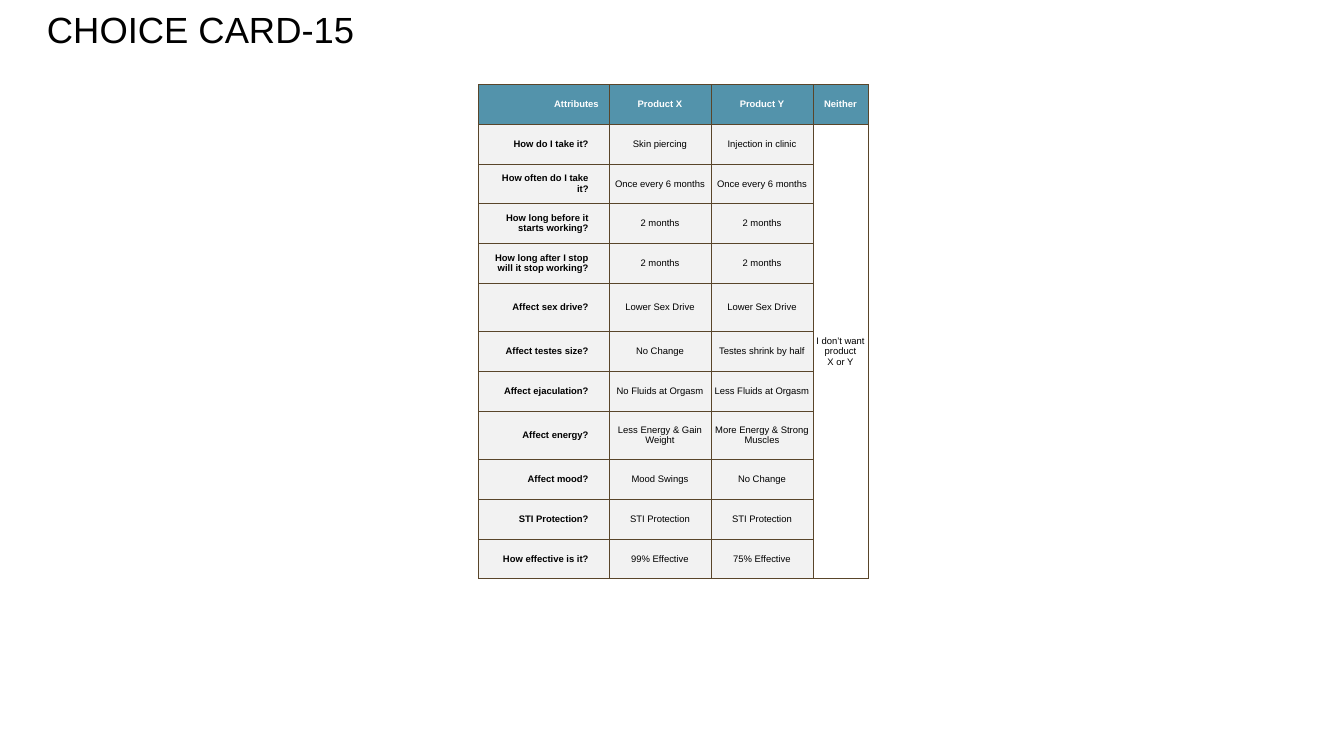
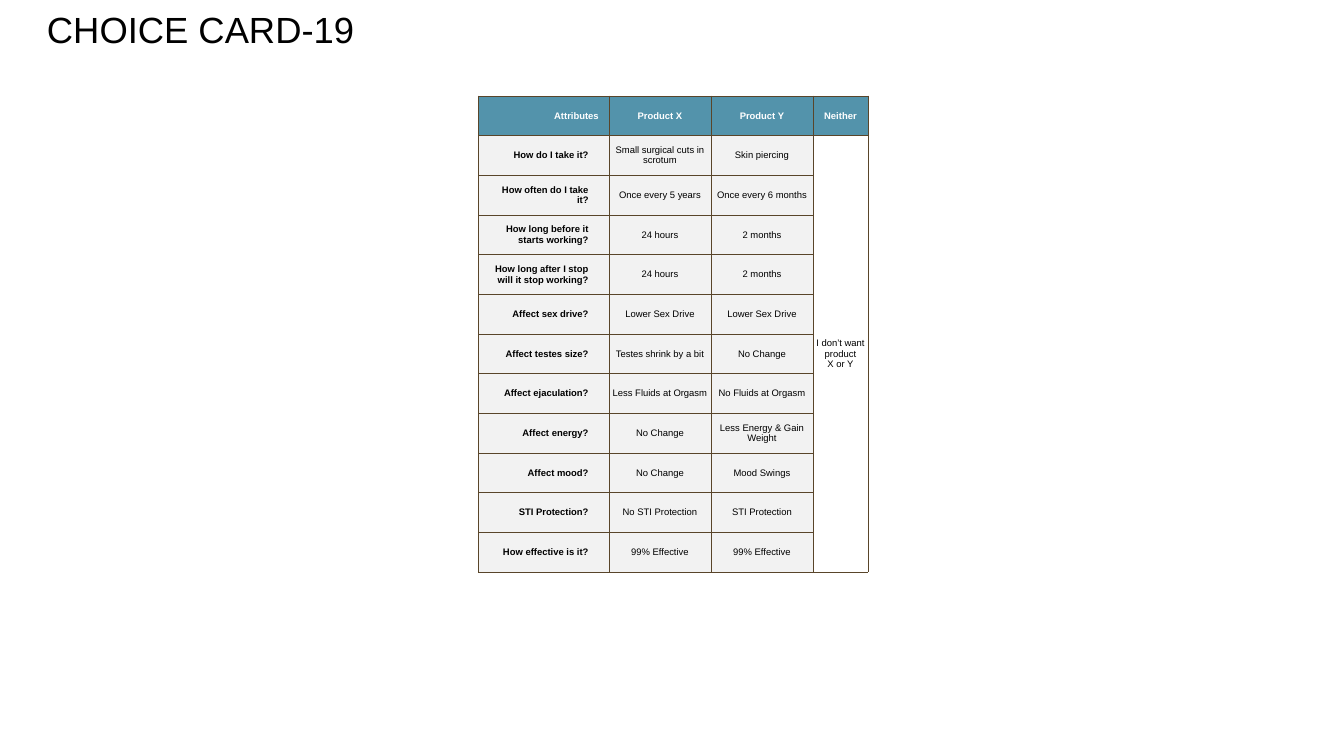
from dataclasses import dataclass

from lxml import etree
from pptx import Presentation
from pptx.dml.color import RGBColor
from pptx.enum.text import MSO_ANCHOR, PP_ALIGN
from pptx.oxml.ns import qn
from pptx.util import Inches, Pt

MIDDLE = MSO_ANCHOR.MIDDLE
CENTER, RIGHT = PP_ALIGN.CENTER, PP_ALIGN.RIGHT
BLANK = 6


@dataclass(frozen=True)
class Theme:
    font: str = "Arial"
    text: str = "000000"
    header_text: str = "FFFFFF"
    header_fill: str = "5393AB"
    body_fill: str = "F2F2F2"
    opt_out_fill: str = "FFFFFF"
    border: str = "59452A"
    border_width: float = 1
    title_size: float = 46.2
    title_leading: float = 30.7
    table_size: float = 12
    header_inset: tuple = (0.18, 0.09, 0.18, 0.09)
    question_inset: tuple = (0.18, 0.09, 0.36, 0.09)
    answer_inset: tuple = (0.04, 0.02, 0.04, 0.02)


TITLE_BOX = (3.08, 3.15, 76.16, 5.55)
TABLE_LEFT = 35.61
COL_SHARES = (9.7, 7.59, 7.59, 4.09)
ROW_SHARE, TALL_ROW_SHARE = 5.25, 6.45

HEADERS = ("Attributes", "Product X", "Product Y", "Neither")
OPT_OUT = ("I don’t want product", "X or Y")
QUESTIONS = (
    "How do I take it?",
    "How often do I take it?",
    "How long before it starts working?",
    "How long after I stop will it stop working?",
    "Affect sex drive?",
    "Affect testes size?",
    "Affect ejaculation?",
    "Affect energy?",
    "Affect mood?",
    "STI Protection?",
    "How effective is it?",
)


@dataclass(frozen=True)
class Card:
    title: str
    top: float
    answers: tuple
    tall_rows: tuple = ()


CARDS = (
    Card("CHOICE CARD-15", 11.18, (
        ("Skin piercing", "Injection in clinic"),
        ("Once every 6 months", "Once every 6 months"),
        ("2 months", "2 months"),
        ("2 months", "2 months"),
        ("Lower Sex Drive", "Lower Sex Drive"),
        ("No Change", "Testes shrink by half"),
        ("No Fluids at Orgasm", "Less Fluids at Orgasm"),
        ("Less Energy & Gain Weight", "More Energy & Strong Muscles"),
        ("Mood Swings", "No Change"),
        ("STI Protection", "STI Protection"),
        ("99% Effective", "75% Effective"),
    ), tall_rows=(5, 8)),
    Card("CHOICE CARD-19", 12.68, (
        ("Small surgical cuts in scrotum", "Skin piercing"),
        ("Once every 5 years", "Once every 6 months"),
        ("24 hours", "2 months"),
        ("24 hours", "2 months"),
        ("Lower Sex Drive", "Lower Sex Drive"),
        ("Testes shrink by a bit", "No Change"),
        ("Less Fluids at Orgasm", "No Fluids at Orgasm"),
        ("No Change", "Less Energy & Gain Weight"),
        ("No Change", "Mood Swings"),
        ("No STI Protection", "STI Protection"),
        ("99% Effective", "99% Effective"),
    )),
)


class Deck:
    def __init__(self, theme):
        self.theme = theme
        self.prs = Presentation()
        self.prs.slide_width, self.prs.slide_height = Inches(23.7), Inches(13.33)
        self.s = None

    def x(self, percent):
        return round(self.prs.slide_width * percent / 100)

    def y(self, percent):
        return round(self.prs.slide_height * percent / 100)

    def new_slide(self):
        self.s = self.prs.slides.add_slide(self.prs.slide_layouts[BLANK])

    def run(self, p, text, size, color, bold=False):
        r = p.add_run()
        r.text = text
        r.font.name, r.font.size, r.font.bold = self.theme.font, Pt(size), bold
        r.font.color.rgb = RGBColor.from_string(color)

    def title(self, text):
        left, top, width, height = TITLE_BOX
        sp = self.s.shapes.add_textbox(self.x(left), self.y(top), self.x(width), self.y(height))
        tf = sp.text_frame
        tf.word_wrap = True
        p = tf.paragraphs[0]
        p.line_spacing = Pt(self.theme.title_leading)
        self.run(p, text, self.theme.title_size, self.theme.text)

    def frame(self, cell, fill):
        tc_pr = cell._tc.get_or_add_tcPr()
        for side in ("L", "R", "T", "B"):
            ln = etree.SubElement(tc_pr, qn(f"a:ln{side}"), w=str(Pt(self.theme.border_width)))
            solid = etree.SubElement(ln, qn("a:solidFill"))
            etree.SubElement(solid, qn("a:srgbClr"), val=self.theme.border)
        cell.fill.solid()
        cell.fill.fore_color.rgb = RGBColor.from_string(fill)

    def cell(self, cell, lines, color, inset, align=CENTER, bold=False):
        cell.vertical_anchor = MIDDLE
        (cell.margin_left, cell.margin_top,
         cell.margin_right, cell.margin_bottom) = map(Inches, inset)
        tf = cell.text_frame
        for i, line in enumerate(lines):
            p = tf.add_paragraph() if i else tf.paragraphs[0]
            p.alignment = align
            self.run(p, line, self.theme.table_size, color, bold)

    def choice_table(self, card):
        t = self.theme
        heights = [TALL_ROW_SHARE if i in card.tall_rows else ROW_SHARE
                   for i in range(len(QUESTIONS) + 1)]
        table = self.s.shapes.add_table(
            len(heights), len(COL_SHARES), self.x(TABLE_LEFT), self.y(card.top),
            self.x(sum(COL_SHARES)), self.y(sum(heights))).table
        table.first_row = table.horz_banding = False
        for column, share in zip(table.columns, COL_SHARES):
            column.width = self.x(share)
        for row, share in zip(table.rows, heights):
            row.height = self.y(share)

        body_fills = [t.body_fill] * 3 + [t.opt_out_fill]
        for i, row in enumerate(table.rows):
            for cell, body_fill in zip(row.cells, body_fills):
                self.frame(cell, body_fill if i else t.header_fill)

        for j, header in enumerate(HEADERS):
            self.cell(table.cell(0, j), [header], t.header_text, t.header_inset,
                      CENTER if j else RIGHT, bold=True)
        for i, (question, answers) in enumerate(zip(QUESTIONS, card.answers), 1):
            self.cell(table.cell(i, 0), [question], t.text, t.question_inset, RIGHT, bold=True)
            for j, answer in enumerate(answers, 1):
                self.cell(table.cell(i, j), [answer], t.text, t.answer_inset)

        opt_out = table.cell(1, 3)
        opt_out.merge(table.cell(len(QUESTIONS), 3))
        self.cell(opt_out, OPT_OUT, t.text, t.answer_inset)


def main():
    deck = Deck(Theme())
    for card in CARDS:
        deck.new_slide()
        deck.title(card.title)
        deck.choice_table(card)
    deck.prs.save("out.pptx")


if __name__ == "__main__":
    main()
